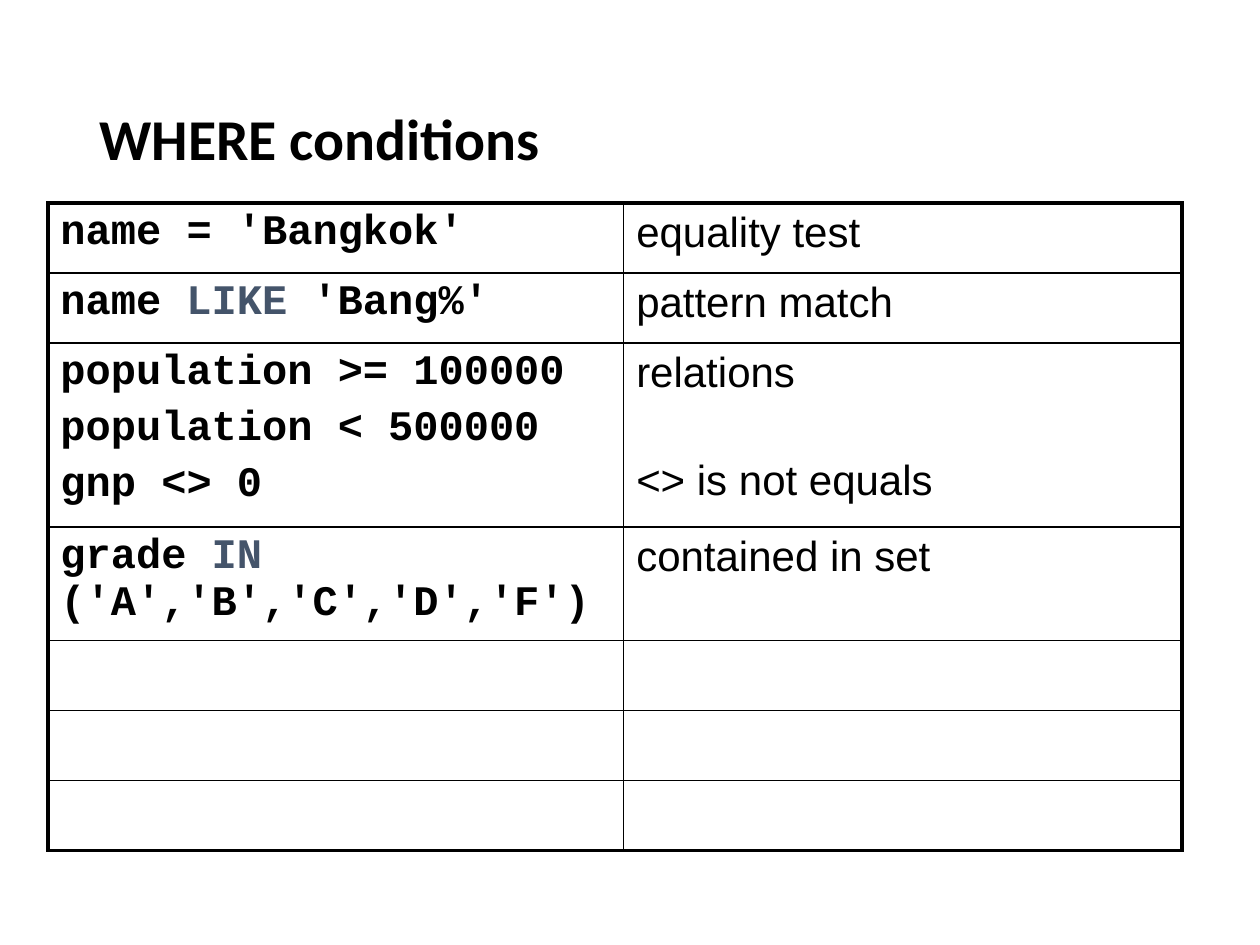
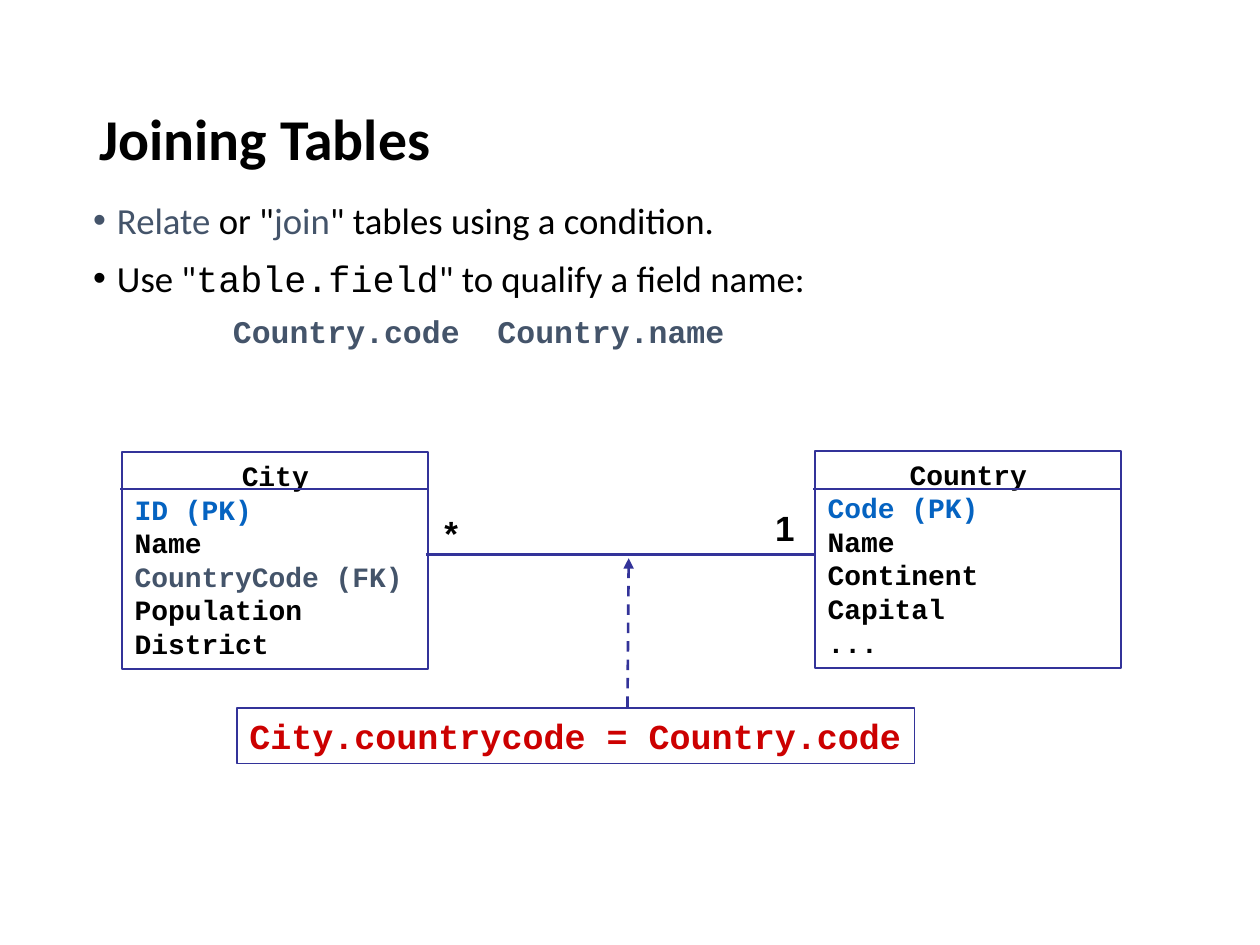
from lxml import etree
from pptx import Presentation
from pptx.dml.color import RGBColor
from pptx.enum.dml import MSO_LINE
from pptx.enum.shapes import MSO_CONNECTOR, MSO_SHAPE
from pptx.enum.text import MSO_ANCHOR, PP_ALIGN
from pptx.oxml.ns import qn
from pptx.util import Inches, Pt

LEFT, CENTER = PP_ALIGN.LEFT, PP_ALIGN.CENTER
TOP, MIDDLE = MSO_ANCHOR.TOP, MSO_ANCHOR.MIDDLE
RECT, STRAIGHT, DASH = MSO_SHAPE.RECTANGLE, MSO_CONNECTOR.STRAIGHT, MSO_LINE.DASH

BLACK, SLATE, BLUE, RED, INDIGO = "000000", "44546A", "0563C1", "CC0000", "333399"
COLS, ROWS = 100, 75  # grid over the whole slide

# Text formats
TITLE = {"name": "Calibri", "size": Pt(33), "bold": True}
BODY = {"name": "Calibri", "size": Pt(21), "bold": False}
CODE = {"name": "Courier New", "size": Pt(24), "bold": True}
NOTE = {"name": "Arial", "size": Pt(24), "bold": False}
FIELD = {**CODE, "size": Pt(16)}
JOIN = {**CODE, "size": Pt(20), "color": RED}
COUNT = {"name": "Arial", "size": Pt(20), "bold": True}


def rgb(value):
    return RGBColor.from_string(value)


def child(parent, tag, **attrs):
    return etree.SubElement(parent, qn(tag), attrs)


class Deck:
    """Holds the presentation, its shared style and the current slide."""

    def __init__(self):
        self.prs = Presentation()
        self.prs.slide_width, self.prs.slide_height = Inches(10), Inches(7.5)
        self.s = None

    def x(self, cols):
        return int(self.prs.slide_width * cols / COLS)

    def y(self, rows):
        return int(self.prs.slide_height * rows / ROWS)

    def box(self, left, top, width, height):
        return self.x(left), self.y(top), self.x(width), self.y(height)

    def slide(self, title):
        self.s = self.prs.slides.add_slide(self.prs.slide_layouts[5])
        sp = self.s.shapes.title
        sp.left, sp.top, sp.width, sp.height = self.box(6.9, 4, 86.2, 14.5)
        self.fill_text(sp.text_frame, [title], TITLE, anchor=MIDDLE, line_spacing=0.9)

    def fill_text(self, tf, paragraphs, font, anchor=TOP, wrap=True, gap=0, **para):
        """Each paragraph is a string or a list of strings and (text, format) runs."""
        tf.word_wrap, tf.vertical_anchor = wrap, anchor
        for i, runs in enumerate(paragraphs):
            p = tf.paragraphs[0] if i == 0 else tf.add_paragraph()
            for key, value in {"alignment": LEFT, **para}.items():
                setattr(p, key, value)
            if i and gap:
                p.space_before = Pt(gap)
            for run in [runs] if isinstance(runs, str) else runs:
                text, change = (run, {}) if isinstance(run, str) else run
                r = p.add_run()
                r.text = text
                for key, value in {"color": BLACK, **font, **change}.items():
                    if key == "color":
                        r.font.color.rgb = rgb(value)
                    else:
                        setattr(r.font, key, value)
        return tf

    def text(self, at, paragraphs, font, **para):
        sp = self.s.shapes.add_textbox(*self.box(*at))
        return self.fill_text(sp.text_frame, paragraphs, font, **para)

    def indent(self, p, margin, first=0, bullet=None):
        pPr = p._p.get_or_add_pPr()
        pPr.set("marL", str(self.x(margin)))
        pPr.set("indent", str(self.x(first)))
        if bullet:
            child(pPr, "a:buFont", typeface="Arial")
            child(pPr, "a:buChar", char=bullet)

    def rect(self, at, weight, paragraphs, font, **para):
        sp = self.s.shapes.add_shape(RECT, *self.box(*at))
        sp.shadow.inherit = False
        sp.fill.background()
        sp.line.color.rgb, sp.line.width = rgb(INDIGO), Pt(weight)
        return self.fill_text(sp.text_frame, paragraphs, font, **para)

    def line(self, x1, y1, x2, y2, weight, dash=None, arrow=False):
        c = self.s.shapes.add_connector(
            STRAIGHT, self.x(x1), self.y(y1), self.x(x2), self.y(y2))
        c.line.color.rgb, c.line.width = rgb(INDIGO), Pt(weight)
        if dash:
            c.line.dash_style = dash
        if arrow:
            child(c.line._get_or_add_ln(), "a:tailEnd", type="triangle")
        child(c._element.spPr, "a:effectLst")

    def entity(self, left, top, name, fields):
        """A table box: centred name, rule, then the field names."""
        tf = self.rect((left, top, 24.3, 17.2), 1, [name] + fields, FIELD)
        tf.paragraphs[0].alignment = CENTER
        self.line(left - 0.15, 38.8, left + 24.3, 38.8, 0.75)

    def borders(self, cell, thick):
        tcPr = cell._tc.get_or_add_tcPr()
        for i, side in enumerate("LRTB"):
            width = Pt(2.25 if side in thick else 1)
            ln = etree.Element(qn("a:ln" + side), w=str(width))
            child(child(ln, "a:solidFill"), "a:srgbClr", val=BLACK)
            tcPr.insert(i, ln)

    def table(self, left, top, widths, heights, rows, fonts):
        shape = self.s.shapes.add_table(
            len(heights), len(widths), *self.box(left, top, sum(widths), sum(heights)))
        t = shape.table
        t.first_row = t.horz_banding = False
        for col, width in zip(t.columns, widths):
            col.width = self.x(width)
        for row, height in zip(t.rows, heights):
            row.height = self.y(height)
        for i in range(len(heights)):
            for j, font in enumerate(fonts):
                cell = t.cell(i, j)
                cell.fill.background()
                edges = {"T": i == 0, "B": i == len(heights) - 1,
                         "L": j == 0, "R": j == len(widths) - 1}
                self.borders(cell, [side for side, outer in edges.items() if outer])
                if i < len(rows):
                    self.fill_text(cell.text_frame, rows[i][j], font, gap=4.8)
        return t


def where_conditions(d):
    d.slide("WHERE conditions")
    rows = [
        (["name = 'Bangkok'"], ["equality test"]),
        ([["name ", ("LIKE", {"color": SLATE}), " 'Bang%'"]], ["pattern match"]),
        (["population >= 100000", "population < 500000", "gnp <> 0"],
         ["relations", "<> is not equals"]),
        ([["grade ", ("IN", {"color": SLATE}), " ('A','B','C','D','F')"]],
         ["contained in set"]),
    ]
    heights = [5.56, 5.56, 14.6, 9] + [5.56] * 3
    t = d.table(3.8, 16.1, [45.7, 44.3], heights, rows, [CODE, NOTE])
    # Line the remark up with the third condition
    t.cell(2, 1).text_frame.paragraphs[1].space_before = Pt(35.2)


def joining_tables(d):
    d.slide("Joining Tables")
    slate = {"color": SLATE}

    # Bullets and example
    tf = d.text((6.4, 15.6, 86.6, 21), [
        [("Relate", slate), " or \"", ("join", slate), "\" tables using a condition."],
        ["Use \"", ("table.field", {"name": "Courier New"}),
         "\" to qualify a field name:"],
        [("Country.code  Country.name", {**CODE, **slate, "size": Pt(18)})],
    ], BODY, gap=10.5, line_spacing=0.9)
    for p in tf.paragraphs[:2]:
        d.indent(p, 1.9, -1.9, "•")
    example = tf.paragraphs[2]
    d.indent(example, 11.1)
    example.space_before = Pt(9)

    # Relation and join condition
    d.line(33.8, 44, 64.8, 44, 1.5)
    d.rect((18.8, 56.2, 53.8, 4.4), 0.75, ["City.countrycode = Country.code"],
           JOIN, wrap=False)
    d.line(49.8, 56.1, 49.9, 44.3, 1.5, DASH, arrow=True)
    for left, top, count in [(60.2, 39.7, "1"), (33.7, 40.1, "*")]:
        d.text((left, top, 4.2, 4.3), [count], COUNT, alignment=CENTER)

    # Entities
    key = {"color": BLUE}
    d.entity(9.7, 35.9, "City", [
        [("ID (PK)", key)], "Name", [("CountryCode (FK)", slate)],
        "Population", "District"])
    d.entity(64.7, 35.8, "Country", [
        [("Code (PK)", key)], "Name", "Continent", "Capital", "..."])


def main():
    d = Deck()
    where_conditions(d)
    joining_tables(d)
    d.prs.save("out.pptx")


if __name__ == "__main__":
    main()
